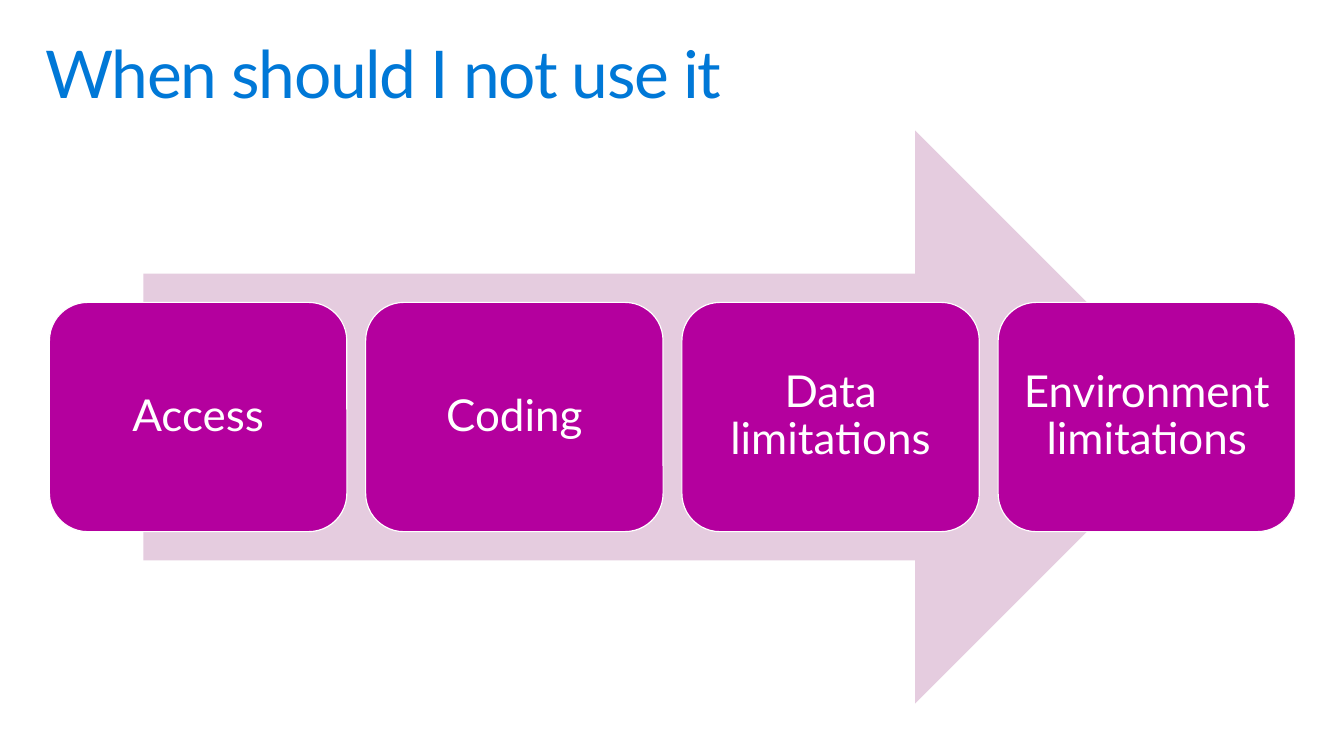
from dataclasses import dataclass

from pptx import Presentation
from pptx.dml.color import RGBColor
from pptx.enum import shapes, text
from pptx.util import Inches, Pt


@dataclass(frozen=True)
class Theme:
    font: str = "Lato"
    title_size: float = 48
    card_size: float = 32
    outline_width: float = 0.85
    line_spacing: float = 0.9
    title: RGBColor = RGBColor(0x00, 0x78, 0xD7)
    arrow: RGBColor = RGBColor(0xE5, 0xCC, 0xDF)
    card: RGBColor = RGBColor(0xB4, 0x00, 0x9E)
    white: RGBColor = RGBColor(0xFF, 0xFF, 0xFF)


@dataclass(frozen=True)
class Box:
    left: float
    top: float
    width: float
    height: float

    def lengths(self) -> tuple:
        return tuple(map(Inches, (self.left, self.top, self.width, self.height)))


THEME = Theme()
TITLE_BOX = Box(0.3, 0.32, 13, 1)
ARROW_BOX = Box(1.45, 1.32, 10.71, 5.8)
FIRST_CARD = Box(0.5, 3.06, 3.01, 2.32)
CARD_STEP = 3.2
LIMITATIONS = ("Access", "Coding", "Data limitations", "Environment limitations")


def write_text(shape, words: str, size: float, color: RGBColor, alignment,
               anchor, inset_x: float, inset_y: float):
    frame = shape.text_frame
    frame.text = words
    frame.word_wrap = True
    frame.auto_size = text.MSO_AUTO_SIZE.NONE
    frame.vertical_anchor = anchor
    frame.margin_left = frame.margin_right = Inches(inset_x)
    frame.margin_top = frame.margin_bottom = Inches(inset_y)
    paragraph = frame.paragraphs[0]
    paragraph.alignment = alignment
    paragraph.line_spacing = THEME.line_spacing
    paragraph.space_before = Pt(0)
    paragraph.font.name = THEME.font
    paragraph.font.size = Pt(size)
    paragraph.font.color.rgb = color
    return paragraph


def add_filled_shape(slide, kind, box: Box, fill: RGBColor):
    shape = slide.shapes.add_shape(kind, *box.lengths())
    shape.shadow.inherit = False
    shape.fill.solid()
    shape.fill.fore_color.rgb = fill
    shape.line.fill.background()
    return shape


def add_title(slide, words: str) -> None:
    title = slide.shapes.title
    title.left, title.top, title.width, title.height = TITLE_BOX.lengths()
    paragraph = write_text(title, words, THEME.title_size, THEME.title,
                           text.PP_ALIGN.LEFT, text.MSO_ANCHOR.TOP, 0.16, 0.1)
    # Letter spacing in hundredths of a point
    paragraph.runs[0]._r.get_or_add_rPr().set("spc", "-100")


def add_card(slide, position: int, words: str) -> None:
    box = Box(FIRST_CARD.left + position * CARD_STEP, FIRST_CARD.top,
              FIRST_CARD.width, FIRST_CARD.height)
    card = add_filled_shape(slide, shapes.MSO_SHAPE.ROUNDED_RECTANGLE, box, THEME.card)
    card.line.color.rgb = THEME.white
    card.line.width = Pt(THEME.outline_width)
    write_text(card, words, THEME.card_size, THEME.white,
               text.PP_ALIGN.CENTER, text.MSO_ANCHOR.MIDDLE, 0.13, 0.13)


def main() -> None:
    presentation = Presentation()
    presentation.slide_width = Inches(13.6)
    presentation.slide_height = Inches(7.65)
    title_only = presentation.slide_layouts.get_by_name("Title Only")
    slide = presentation.slides.add_slide(title_only)
    add_title(slide, "When should I not use it")
    add_filled_shape(slide, shapes.MSO_SHAPE.RIGHT_ARROW, ARROW_BOX, THEME.arrow)
    for position, words in enumerate(LIMITATIONS):
        add_card(slide, position, words)
    presentation.save("out.pptx")


if __name__ == "__main__":
    main()
